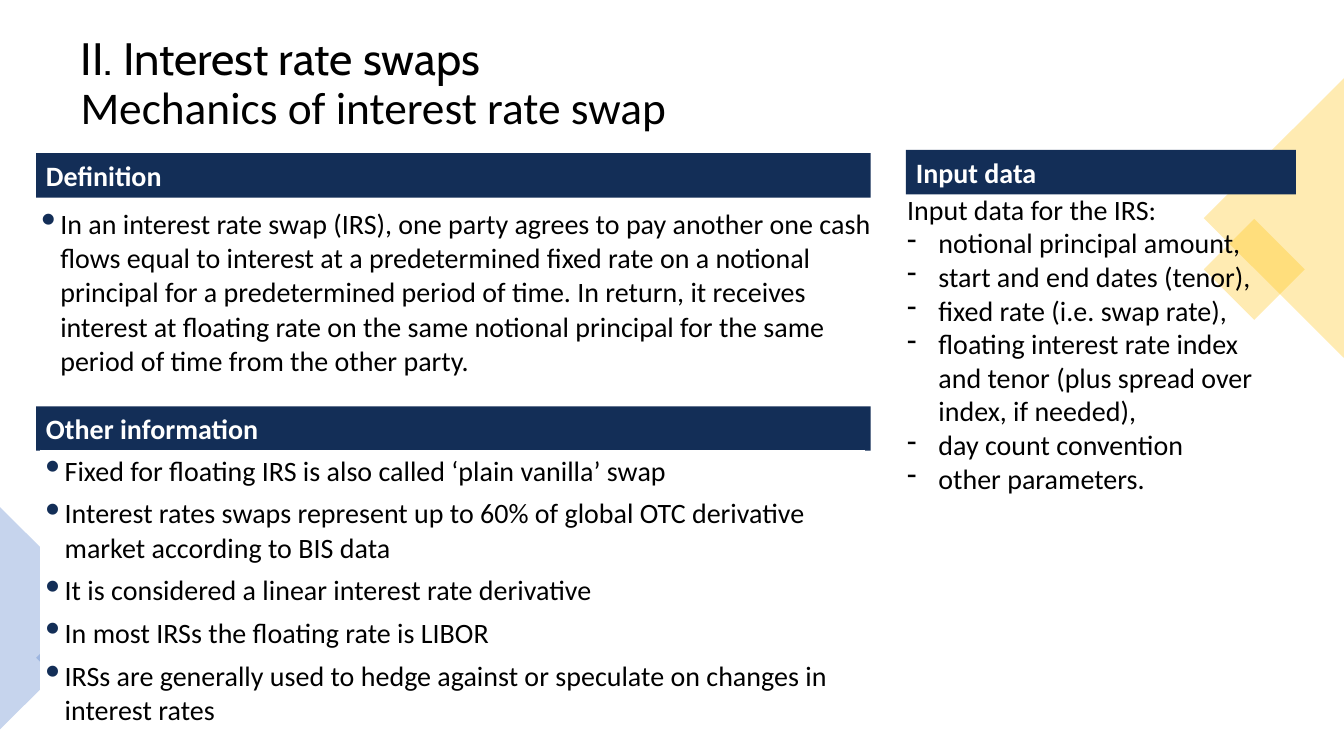
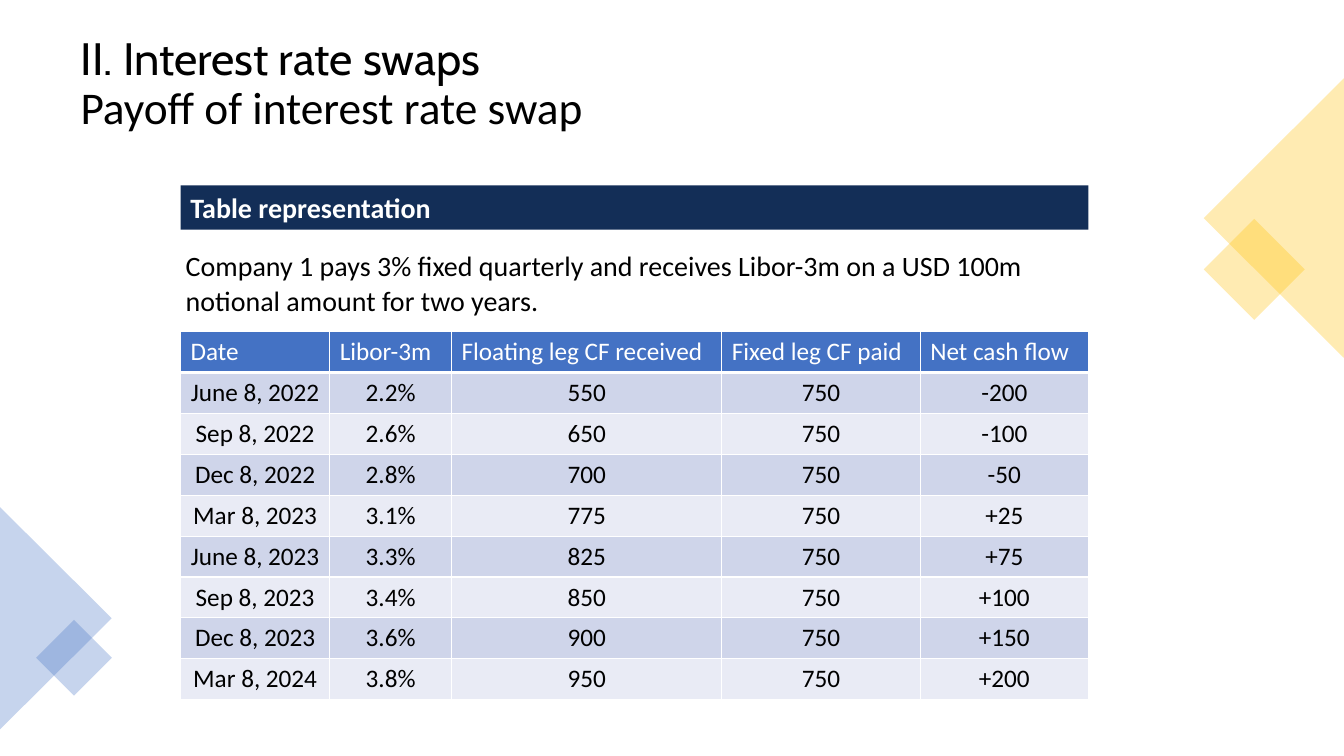
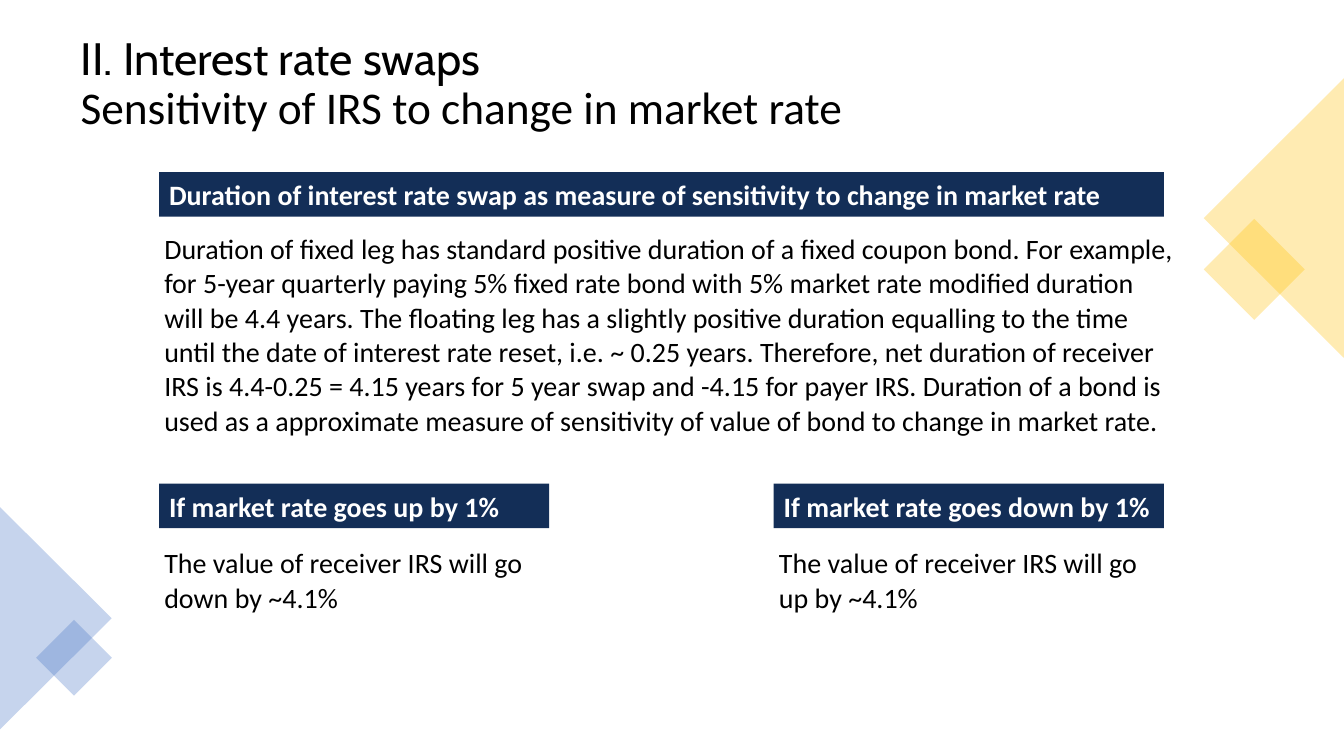
from lxml import etree
from pptx import Presentation
from pptx import util as u
from pptx.dml.color import RGBColor
from pptx.enum import shapes, text
from pptx.oxml import ns

Cm, Pt = u.Cm, u.Pt

COLORS = {
    "navy": "132E57", "blue": "4472C4", "gold": "FFC000", "white": "FFFFFF",
    "black": "000000", "row_dark": "CFD5EA", "row_light": "E9EBF5",
}
BODY_FONT, TITLE_FONT = "Calibri", "Cabin"
BODY_SIZE, TABLE_SIZE, TITLE_SIZE = 20, 18, 32.4
BAND_HEIGHT = 1.12
CHAPTER = "II. Interest rate swaps"

RECTANGLE = shapes.MSO_SHAPE.RECTANGLE
TRIANGLE = shapes.MSO_SHAPE.ISOSCELES_TRIANGLE
LEFT, CENTER = text.PP_ALIGN.LEFT, text.PP_ALIGN.CENTER

# preset, (left, top, width, height) in cm, rotation, colour
CORNER_SHAPES = [
    (RECTANGLE, (30.71, 5.89, 1.8, 1.8), 45, "gold"),
    (TRIANGLE, (28.58, 3.73, 7.04, 3.53), 270, "gold"),
    (TRIANGLE, (-1.4, 14.17, 5.61, 2.82), 90, "blue"),
    (RECTANGLE, (1.19, 15.9, 1.35, 1.35), 45, "blue"),
]

# character, indent in cm, colour, size in percent, space after in points
DOT = ("•", 0.48, "navy", 150, 6)
DASH = ("-", 0.79, "black", 100, 0)

DEFINITION = [
    "In an interest rate swap (IRS), one party agrees to pay another one cash flows "
    "equal to interest at a predetermined fixed rate on a notional principal for a "
    "predetermined period of time. In return, it receives interest at floating rate on "
    "the same notional principal for the same period of time from the other party.",
]
OTHER_INFORMATION = [
    "Fixed for floating IRS is also called ‘plain vanilla’ swap",
    "Interest rates swaps represent up to 60% of global OTC derivative market "
    "according to BIS data",
    "It is considered a linear interest rate derivative",
    "In most IRSs the floating rate is LIBOR",
    "IRSs are generally used to hedge against or speculate on changes in interest rates",
]
INPUT_INTRO = "Input data for the IRS:"
INPUT_DATA = [
    "notional principal amount,",
    "start and end dates (tenor),",
    "fixed rate (i.e. swap rate),",
    "floating interest rate index and tenor (plus spread over index, if needed),",
    "day count convention",
    "other parameters.",
]
PAYOFF_TERMS = [
    "Company 1 pays 3% fixed quarterly and receives Libor-3m on a USD 100m notional "
    "amount for two years.",
]
PAYOFF_WIDTHS = [3.76, 3.07, 6.81, 5, 4.24]
PAYOFF_ROWS = [
    ("Date", "Libor-3m", "Floating leg CF received", "Fixed leg CF paid", "Net cash flow"),
    ("June 8, 2022", "2.2%", "550", "750", "-200"),
    ("Sep 8, 2022", "2.6%", "650", "750", "-100"),
    ("Dec 8, 2022", "2.8%", "700", "750", "-50"),
    ("Mar 8, 2023", "3.1%", "775", "750", "+25"),
    ("June 8, 2023", "3.3%", "825", "750", "+75"),
    ("Sep 8, 2023", "3.4%", "850", "750", "+100"),
    ("Dec 8, 2023", "3.6%", "900", "750", "+150"),
    ("Mar 8, 2024", "3.8%", "950", "750", "+200"),
]
DURATION = [
    "Duration of fixed leg has standard positive duration of a fixed coupon bond. For "
    "example, for 5-year quarterly paying 5% fixed rate bond with 5% market rate modified "
    "duration will be 4.4 years. The floating leg has a slightly positive duration "
    "equalling to the time until the date of interest rate reset, i.e. ~ 0.25 years. "
    "Therefore, net duration of receiver IRS is 4.4-0.25 = 4.15 years for 5 year swap and "
    "-4.15 for payer IRS. Duration of a bond is used as a approximate measure of "
    "sensitivity of value of bond to change in market rate.",
]
SCENARIOS = [
    ("If market rate goes up by 1%", "The value of receiver IRS will go down by ~4.1%"),
    ("If market rate goes down by 1%", "The value of receiver IRS will go up by ~4.1%"),
]


def rgb(color):
    return RGBColor.from_string(COLORS[color])


def box(*lengths):
    return [Cm(length) for length in lengths]


def add_run(paragraph, words, color="black", size=BODY_SIZE, bold=False, font=BODY_FONT):
    run = paragraph.add_run()
    run.text = words
    run.font.name, run.font.size, run.font.bold = font, Pt(size), bold
    run.font.color.rgb = rgb(color)


def set_bullet(paragraph, character, indent, color, percent, space_after):
    paragraph.space_after = Pt(space_after)
    properties = paragraph._p.get_or_add_pPr()
    properties.set("marL", str(Cm(indent)))
    properties.set("indent", str(-Cm(indent)))
    bullet_color = etree.SubElement(properties, ns.qn("a:buClr"))
    etree.SubElement(bullet_color, ns.qn("a:srgbClr"), val=COLORS[color])
    etree.SubElement(properties, ns.qn("a:buSzPct"), val=str(percent * 1000))
    etree.SubElement(properties, ns.qn("a:buChar"), char=character)


def add_paragraphs(frame, lines, bullet=None):
    for line in lines:
        first = frame.paragraphs[0]
        paragraph = frame.add_paragraph() if first.runs else first
        if bullet:
            set_bullet(paragraph, *bullet)
        add_run(paragraph, line)


def add_plain_shape(slide, preset, place, color):
    shape = slide.shapes.add_shape(preset, *box(*place))
    shape.shadow.inherit = False
    shape.fill.solid()
    shape.fill.fore_color.rgb = rgb(color)
    shape.line.fill.background()
    return shape


def add_corner_shapes(slide):
    for preset, place, rotation, color in CORNER_SHAPES:
        shape = add_plain_shape(slide, preset, place, color)
        shape.rotation = rotation
        fill_color = shape.element.spPr.find(ns.qn("a:solidFill"))[0]
        etree.SubElement(fill_color, ns.qn("a:alpha"), val="30000")


def add_title(slide, subtitle):
    frame = slide.shapes.add_textbox(*box(1.78, 0.89, 30.3, 2.54)).text_frame
    frame.word_wrap = True
    frame.vertical_anchor = text.MSO_ANCHOR.MIDDLE
    paragraph = frame.paragraphs[0]
    paragraph.line_spacing = 0.9
    add_run(paragraph, CHAPTER, size=TITLE_SIZE, font=TITLE_FONT)
    paragraph.add_line_break()
    add_run(paragraph, subtitle, size=TITLE_SIZE)


def start_slide(presentation, subtitle):
    slide = presentation.slides.add_slide(presentation.slide_layouts[6])
    add_corner_shapes(slide)
    add_title(slide, subtitle)
    return slide


def add_band(slide, left, top, width, heading):
    band = add_plain_shape(slide, RECTANGLE, (left, top, width, BAND_HEIGHT), "navy")
    band.text_frame.word_wrap = True
    paragraph = band.text_frame.paragraphs[0]
    paragraph.alignment = LEFT
    add_run(paragraph, heading, "white", bold=True)


def style_cell(cell, color, borders):
    """Fill the cell and give it white borders, a dict of side to points."""
    cell.fill.solid()
    cell.fill.fore_color.rgb = rgb(color)
    properties = cell._tc.get_or_add_tcPr()
    sides = [side for side in "LRTB" if side in borders]
    for position, side in enumerate(sides):
        line = etree.Element(ns.qn("a:ln" + side), w=str(Pt(borders[side])))
        fill = etree.SubElement(line, ns.qn("a:solidFill"))
        etree.SubElement(fill, ns.qn("a:srgbClr"), val=COLORS["white"])
        properties.insert(position, line)


def add_note(slide, place, lines, bullet=None):
    """Add a white one-cell table that holds body text."""
    table = slide.shapes.add_table(1, 1, *box(*place)).table
    table.first_row = table.horz_banding = False
    cell = table.cell(0, 0)
    cell.margin_left, cell.margin_right = Cm(0.13), Cm(0)
    cell.margin_top = cell.margin_bottom = Cm(0.1)
    style_cell(cell, "white", {"R": 3})
    add_paragraphs(cell.text_frame, lines, bullet)


def add_payoff_table(slide, left, top, row_height):
    place = box(left, top, sum(PAYOFF_WIDTHS), row_height * len(PAYOFF_ROWS))
    table = slide.shapes.add_table(len(PAYOFF_ROWS), len(PAYOFF_WIDTHS), *place).table
    table.horz_banding = False
    for column, width in zip(table.columns, PAYOFF_WIDTHS):
        column.width = Cm(width)
    for row, values in enumerate(PAYOFF_ROWS):
        header = row == 0
        fill = "blue" if header else ("row_light", "row_dark")[row % 2]
        borders = {"L": 1, "R": 1, "T": 3 if row == 1 else 1, "B": 3 if header else 1}
        for column, value in enumerate(values):
            cell = table.cell(row, column)
            style_cell(cell, fill, borders)
            paragraph = cell.text_frame.paragraphs[0]
            paragraph.alignment = LEFT if header else CENTER
            add_run(paragraph, value, "white" if header else "black", TABLE_SIZE)


def build_mechanics(presentation):
    slide = start_slide(presentation, "Mechanics of interest rate swap")
    left, width = 0.91, 21.03
    add_band(slide, left, 3.86, width, "Definition")
    add_note(slide, (left, 5.13, 21.26, 4.45), DEFINITION, DOT)
    add_band(slide, left, 10.24, width, "Other information")
    add_note(slide, (1.02, 11.35, 20.73, 6.99), OTHER_INFORMATION, DOT)
    add_band(slide, 22.83, 3.78, 9.83, "Input data")
    frame = slide.shapes.add_textbox(*box(22.61, 4.72, 10.06, 7.95)).text_frame
    frame.word_wrap = True
    add_paragraphs(frame, [INPUT_INTRO])
    add_paragraphs(frame, INPUT_DATA, DASH)


def build_payoff(presentation):
    slide = start_slide(presentation, "Payoff of interest rate swap")
    left, width = 4.55, sum(PAYOFF_WIDTHS)
    add_band(slide, left, 4.67, width, "Table representation")
    add_note(slide, (left, 6.2, width, 1.91), PAYOFF_TERMS)
    add_payoff_table(slide, left, 8.36, 1.03)


def build_sensitivity(presentation):
    slide = start_slide(presentation, "Sensitivity of IRS to change in market rate")
    left, width, scenario_width = 4.01, 25.32, 9.83
    add_band(slide, left, 4.34, width,
             "Duration of interest rate swap as measure of sensitivity to change in market rate")
    add_note(slide, (left, 5.77, 25.68, 5.28), DURATION)
    step = (width - scenario_width) / (len(SCENARIOS) - 1)
    for index, (heading, effect) in enumerate(SCENARIOS):
        scenario_left = left + index * step
        add_band(slide, scenario_left, 12.19, scenario_width, heading)
        add_note(slide, (scenario_left, 13.69, scenario_width, 1.91), [effect])


def main():
    presentation = Presentation()
    presentation.slide_width, presentation.slide_height = box(33.87, 19.05)
    build_mechanics(presentation)
    build_payoff(presentation)
    build_sensitivity(presentation)
    presentation.save("out.pptx")


if __name__ == "__main__":
    main()
